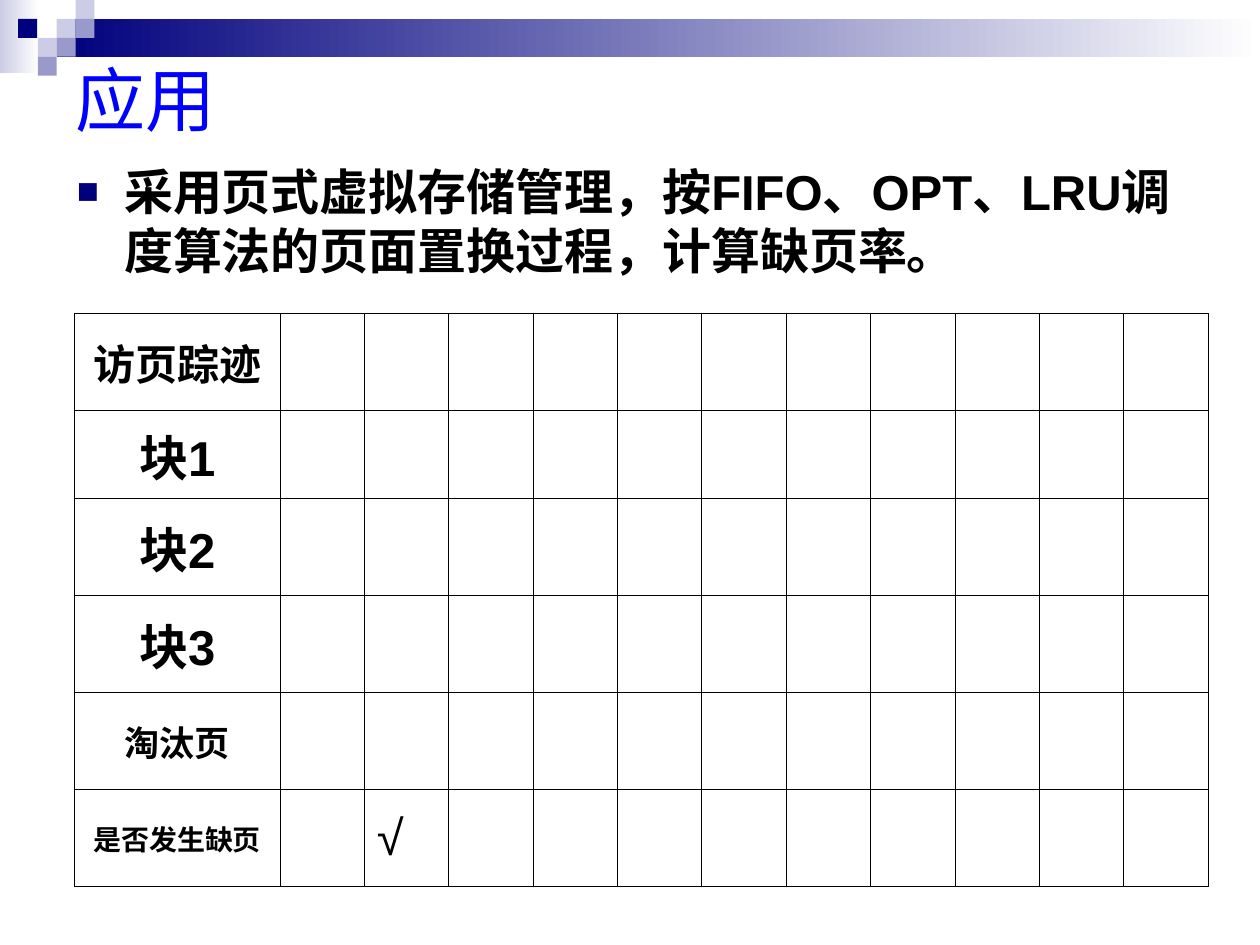
"""Builds the page replacement exercise slide with its empty trace table."""
from lxml.etree import SubElement
from pptx import Presentation
from pptx.dml.color import RGBColor
from pptx.enum.shapes import MSO_SHAPE as Shape
from pptx.enum.text import MSO_ANCHOR as Anchor, MSO_AUTO_SIZE as AutoSize, PP_ALIGN as Align
from pptx.oxml import parse_xml
from pptx.oxml.ns import nsdecls, qn
from pptx.util import Pt

TITLE = "应用"
TASK = "采用页式虚拟存储管理，按FIFO、OPT、LRU调度算法的页面置换过程，计算缺页率。"
ROWS = [
    ("访页踪迹", 24, "Times New Roman", 55.44),
    ("块1", 28, "Arial", 50.4),
    ("块2", 28, "Arial", 55.44),
    ("块3", 28, "Arial", 55.44),
    ("淘汰页", 20, "Times New Roman", 55.44),
    ("是否发生缺页", 16, "Times New Roman", 55.44),
]
FAULT_MARK, FAULT_ROW, FAULT_COLUMN = "√", 5, 2
STEPS, LABEL_WIDTH, STEP_WIDTH = 11, 117.36, 48.24

NAVY, LILAC, VIOLET, WHITE, BLACK = "00007D", "CCCCE6", "9999CC", "FFFFFF", "000000"
BANDS = [((0, 0, 22.3, 41.8), LILAC), ((32.4, 10.8, 687.6, 21.6), NAVY)]
TILE = 10.8
TILES = [
    (32.4, 10.8, LILAC), (43.2, 0, LILAC), (43.2, 10.8, VIOLET), (21.6, 21.6, LILAC),
    (10.4, 10.8, NAVY), (32.4, 21.6, VIOLET), (21.6, 32.4, VIOLET),
]


def rgb(color):
    return RGBColor.from_string(color)


def place(shape, *box):
    shape.left, shape.top, shape.width, shape.height = map(Pt, box)


def style(paragraph, size, font, color=BLACK, bold=False, align=Align.LEFT, before=0):
    paragraph.alignment = align
    paragraph.space_before = Pt(before)
    paragraph.font.size, paragraph.font.name, paragraph.font.bold = Pt(size), font, bold
    paragraph.font.color.rgb = rgb(color)


def add_block(slide, box, color, fade=None):
    block = slide.shapes.add_shape(Shape.RECTANGLE, *map(Pt, box))
    block.shadow.inherit = False
    block.line.fill.background()
    if fade:
        block.fill.gradient()
        block.fill.gradient_angle = 0
        for stop, shade in zip(block.fill.gradient_stops, (color, fade)):
            stop.color.rgb = rgb(shade)
    else:
        block.fill.solid()
        block.fill.fore_color.rgb = rgb(color)


def add_bullet(paragraph):
    properties = paragraph._p.get_or_add_pPr()
    properties.set("marL", str(Pt(27)))
    properties.set("indent", str(Pt(-27)))
    SubElement(SubElement(properties, qn("a:buClr")), qn("a:srgbClr"), val=NAVY)
    SubElement(properties, qn("a:buSzPct"), val="75000")
    SubElement(properties, qn("a:buFont"), typeface="Arial")
    SubElement(properties, qn("a:buChar"), char="■")


def add_borders(cell):
    properties = cell._tc.get_or_add_tcPr()
    for index, side in enumerate(("lnL", "lnR", "lnT", "lnB")):
        properties.insert(index, parse_xml(
            f'<a:{side} {nsdecls("a")} w="{Pt(0.45)}"><a:solidFill>'
            f'<a:srgbClr val="{BLACK}"/></a:solidFill></a:{side}>'))


def add_trace_table(slide):
    width, height = LABEL_WIDTH + STEPS * STEP_WIDTH, sum(row[3] for row in ROWS)
    frame = slide.shapes.add_table(
        len(ROWS), STEPS + 1, Pt(42.6), Pt(179.2), Pt(width), Pt(height))
    table = frame.table
    table.first_row = table.horz_banding = False
    for index, column in enumerate(table.columns):
        column.width = Pt(STEP_WIDTH if index else LABEL_WIDTH)
    for row, (label, size, font, row_height) in zip(table.rows, ROWS):
        row.height = Pt(row_height)
        for cell in row.cells:
            cell.fill.background()
            cell.vertical_anchor = Anchor.MIDDLE
            add_borders(cell)
        row.cells[0].text = label
        style(row.cells[0].text_frame.paragraphs[0], size, font, bold=True, align=Align.CENTER)
    fault = table.cell(FAULT_ROW, FAULT_COLUMN)
    fault.text = FAULT_MARK
    style(fault.text_frame.paragraphs[0], 28, "Arial", before=7)


def main():
    deck = Presentation()
    deck.slide_width, deck.slide_height = Pt(720), Pt(540)
    slide = deck.slides.add_slide(deck.slide_layouts[1])

    for box, color in BANDS:
        add_block(slide, box, color, WHITE)
    for left, top, color in TILES:
        add_block(slide, (left, top, TILE, TILE), color)

    title, task = slide.shapes.title, slide.placeholders[1]
    place(title, 36, 36, 648, 41)
    place(task, 36.7, 88.6, 652.3, 306)
    for holder, words in ((title, TITLE), (task, TASK)):
        holder.text_frame.text = words
        holder.text_frame.auto_size = AutoSize.NONE
    title.text_frame.vertical_anchor = Anchor.MIDDLE
    style(title.text_frame.paragraphs[0], 40, "Arial", "0000FF")
    task_line = task.text_frame.paragraphs[0]
    style(task_line, 28, "Arial", bold=True, before=7)
    add_bullet(task_line)

    add_trace_table(slide)
    deck.save("out.pptx")


if __name__ == "__main__":
    main()
